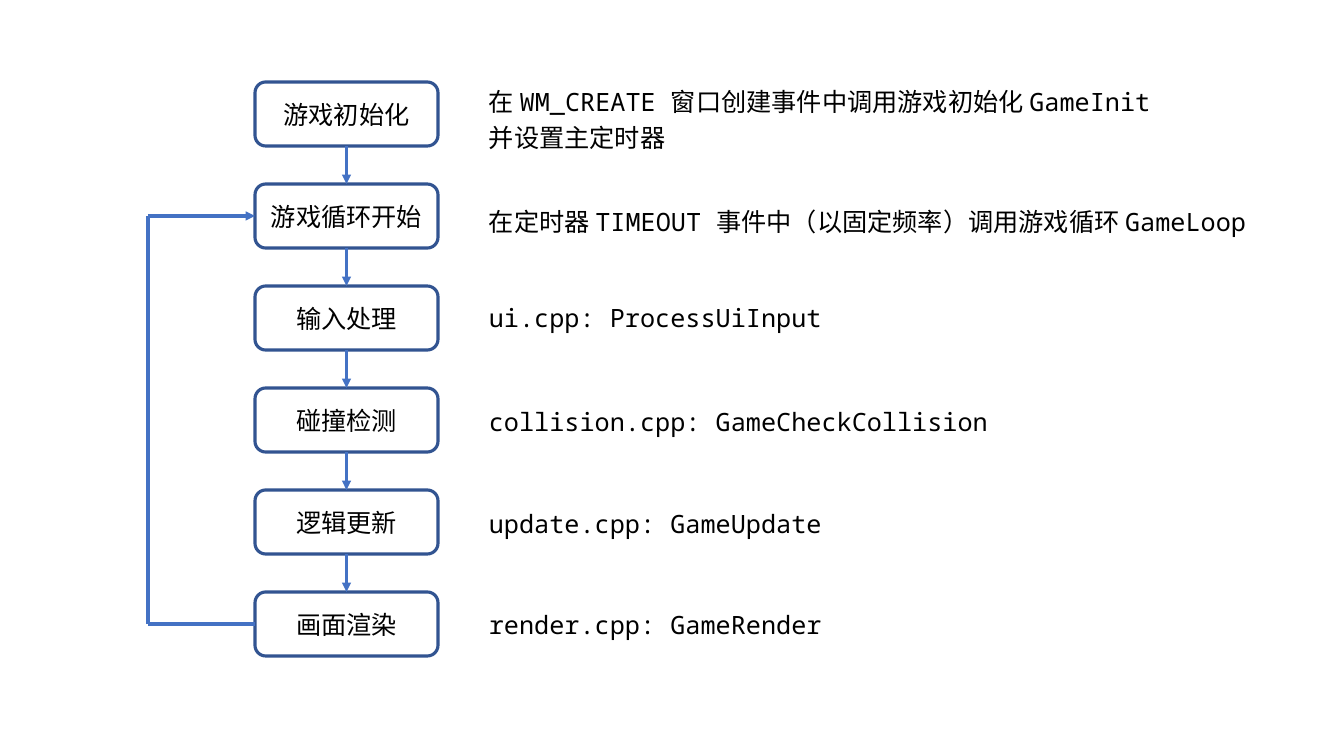
from pptx import Presentation
from pptx.dml.color import RGBColor
from pptx.enum.shapes import MSO_CONNECTOR as CONN, MSO_SHAPE as SHAPE
from pptx.enum.text import MSO_ANCHOR as ANCHOR, MSO_AUTO_SIZE as FIT, PP_ALIGN as ALIGN
from pptx.oxml.ns import qn
from pptx.util import Emu, Pt
from lxml.etree import SubElement

SANS, MONO = "Noto Sans CJK SC", "Noto Sans Mono"
BLACK, BLUE, NAVY = "000000", "4472C4", "325491"
BOX_X, BOX_Y, BOX_W, BOX_H, STEP = 255, 82, 183, 64, 102
LOOP_X, NOTE_X = 148, 479

STEPS = [
    ("游戏初始化", 75, 708, ["在 WM_CREATE 窗口创建事件中调用游戏初始化 GameInit", "并设置主定时器"]),
    ("游戏循环开始", 195, 778, ["在定时器 TIMEOUT 事件中（以固定频率）调用游戏循环 GameLoop"]),
    ("输入处理", 291, 778, ["ui.cpp: ProcessUiInput"]),
    ("碰撞检测", 395, 778, ["collision.cpp: GameCheckCollision"]),
    ("逻辑更新", 497, 778, ["update.cpp: GameUpdate"]),
    ("画面渲染", 598, 778, ["render.cpp: GameRender"]),
]


def px(n):
    """Turn slide pixels into EMU."""
    return Emu(round(n * 914400 / 100.8))


def color(value):
    """Turn a hex string into a colour."""
    return RGBColor.from_string(value)


def style(p, face):
    """Set the paragraph's size, colour and Latin and East Asian fonts."""
    p.font.size = Pt(18)
    p.font.color.rgb = color(BLACK)
    p.font.name = face
    props = p._p.pPr.find(qn("a:defRPr"))
    SubElement(props, qn("a:ea")).set("typeface", SANS)


def add_step(s, y, label):
    """Draw a rounded step box with a centred label."""
    sp = s.shapes.add_shape(SHAPE.ROUNDED_RECTANGLE, px(BOX_X), px(y), px(BOX_W), px(BOX_H))
    sp.shadow.inherit = False
    sp.fill.background()
    sp.line.color.rgb = color(NAVY)
    sp.line.width = Pt(2.25)
    tf = sp.text_frame
    tf.word_wrap = True
    tf.vertical_anchor = ANCHOR.MIDDLE
    p = tf.paragraphs[0]
    p.text = label
    p.alignment = ALIGN.CENTER
    style(p, SANS)
    return sp


def add_note(s, y, w, lines):
    """Write the explanation beside a step."""
    tf = s.shapes.add_textbox(px(NOTE_X), px(y), px(w), px(44 + 37 * (len(lines) - 1))).text_frame
    tf.word_wrap = True
    tf.auto_size = FIT.SHAPE_TO_FIT_TEXT
    p = tf.paragraphs[0]
    p.line_spacing = 1.2
    for i, line in enumerate(lines):
        if i:
            p.add_line_break()
        p.add_run().text = line
    style(p, MONO)


def add_line(s, start, end, arrow=True):
    """Draw a straight line, with an arrowhead at its end if asked."""
    c = s.shapes.add_connector(CONN.STRAIGHT, *map(px, start + end))
    c.line.color.rgb = color(BLUE)
    c.line.width = Pt(2.25)
    if arrow:
        SubElement(c.line._get_or_add_ln(), qn("a:tailEnd")).set("type", "triangle")
    SubElement(c._element.spPr, qn("a:effectLst"))
    return c


def add_loop(s, first, last, top, bottom):
    """Lead from the last step back to the first one of the loop."""
    add_line(s, (BOX_X, bottom), (LOOP_X, bottom), False).begin_connect(last, 1)
    add_line(s, (LOOP_X, bottom), (LOOP_X, top), False)
    add_line(s, (LOOP_X, top), (BOX_X, top)).end_connect(first, 1)


def main():
    """Build the game loop slide."""
    prs = Presentation()
    prs.slide_width, prs.slide_height = px(1344), px(756)
    s = prs.slides.add_slide(prs.slide_layouts[6])
    boxes = []
    for i, (label, note_y, note_w, lines) in enumerate(STEPS):
        boxes.append(add_step(s, BOX_Y + i * STEP, label))
        add_note(s, note_y, note_w, lines)
    mid_x = BOX_X + BOX_W // 2
    for i, (upper, lower) in enumerate(zip(boxes, boxes[1:])):
        y = BOX_Y + i * STEP
        c = add_line(s, (mid_x, y + BOX_H), (mid_x, y + STEP))
        c.begin_connect(upper, 2)
        c.end_connect(lower, 0)
    mid_y = BOX_Y + BOX_H // 2
    add_loop(s, boxes[1], boxes[-1], mid_y + STEP, mid_y + 5 * STEP)
    prs.save("out.pptx")


if __name__ == "__main__":
    main()
